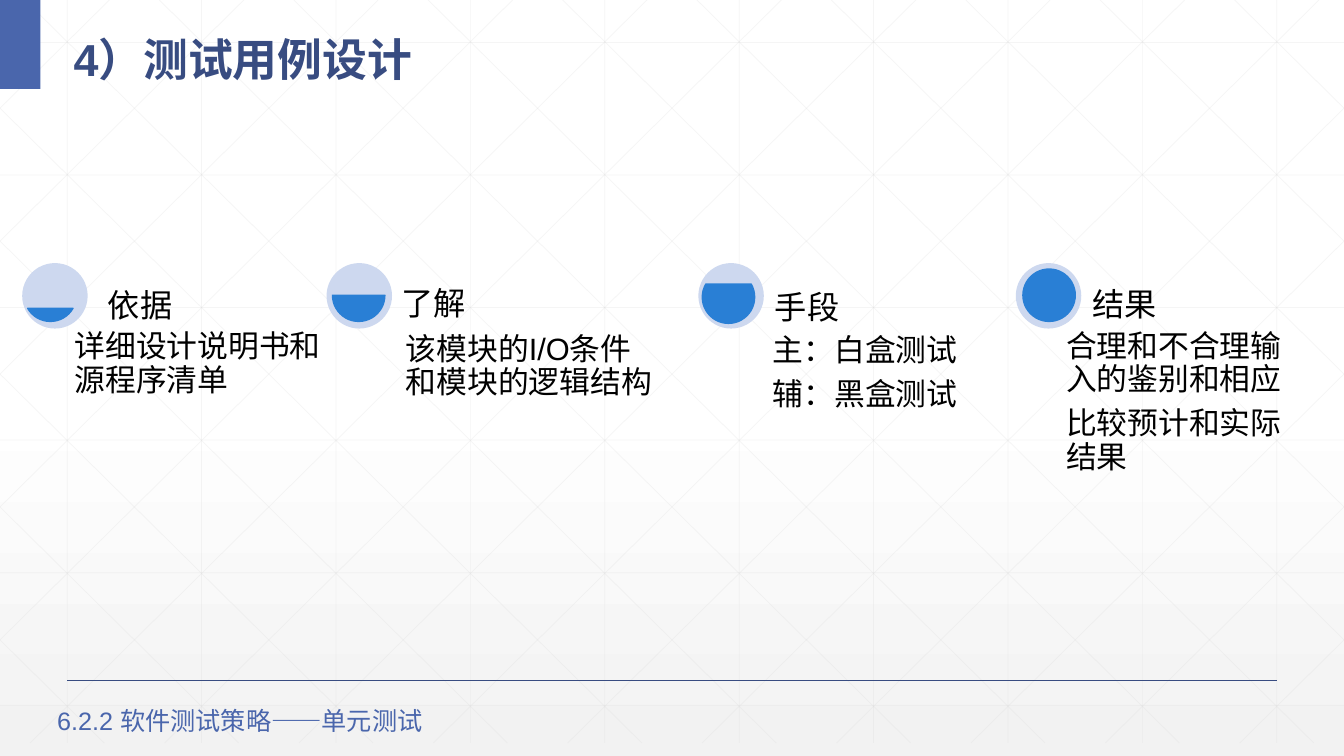
from lxml import etree
from pptx import Presentation
from pptx.dml.color import RGBColor
from pptx.enum.shapes import MSO_CONNECTOR, MSO_SHAPE
from pptx.enum.text import MSO_ANCHOR, PP_ALIGN
from pptx.oxml.ns import qn
from pptx.util import Cm, Pt

STRAIGHT = MSO_CONNECTOR.STRAIGHT
RECT, OVAL, CHORD = MSO_SHAPE.RECTANGLE, MSO_SHAPE.OVAL, MSO_SHAPE.CHORD
TOP, MIDDLE, BOTTOM = MSO_ANCHOR.TOP, MSO_ANCHOR.MIDDLE, MSO_ANCHOR.BOTTOM
LEFT = PP_ALIGN.LEFT

WHITE = RGBColor(0xFF, 0xFF, 0xFF)
SMOKE = RGBColor(0xF2, 0xF2, 0xF2)
GREY = RGBColor(0xD9, 0xD9, 0xD9)
NAVY = RGBColor(0x38, 0x4C, 0x81)
INDIGO = RGBColor(0x4A, 0x66, 0xAC)
PALE = RGBColor(0xCD, 0xD8, 0xEF)
BLUE = RGBColor(0x29, 0x7F, 0xD5)
BLACK = RGBColor(0, 0, 0)

FONT = "Arial"
WIDE, HIGH = 33.87, 19.05
FOOT = 18.72  # lower end of the grid
STEP = WIDE / 10

# disc left, level (left, top, chord angles), head (left, top, text),
# body (left, top, width, lines)
STAGES = [
    (0.56, (0.61, 6.78, 18, 90), (2.57, 6.68, "依据"),
     (1.73, 8.2, 6.63, ["详细设计说明书和源程序清单"])),
    (8.23, (8.38, 6.78, 0, 108), (9.96, 6.63, "了解"),
     (10.08, 8.26, 6.68, ["该模块的I/O条件和模块的逻辑结构"])),
    (17.6, (17.7, 6.83, 198, 126), (19.38, 6.73, "手段"),
     (19.33, 8.28, 5.89, ["主：白盒测试", "辅：黑盒测试"])),
    (25.6, (25.78, 6.78, 162, 162), (27.38, 6.65, "结果"),
     (26.72, 8.18, 6.45, ["合理和不合理输入的鉴别和相应", "比较预计和实际结果"])),
]


def write(frame, lines, size, color, bold=False, anchor=TOP,
          inset=None, spacing=None, after=None):
    frame.word_wrap = True
    frame.vertical_anchor = anchor
    if inset is not None:
        frame.margin_left = frame.margin_right = Cm(inset)
        frame.margin_top = frame.margin_bottom = Cm(inset)
    for i, line in enumerate(lines):
        para = frame.add_paragraph() if i else frame.paragraphs[0]
        para.alignment = LEFT
        para.line_spacing = spacing
        para.space_after = after
        run = para.add_run()
        run.text = line
        font = run.font
        font.name, font.size, font.bold = FONT, Pt(size), bold
        font.color.rgb = color


def label(slide, x, y, w, h, lines, **style):
    box = slide.shapes.add_textbox(Cm(x), Cm(y), Cm(w), Cm(h))
    write(box.text_frame, lines, **style)


def shape(slide, kind, x, y, w, h, fill, edge=False):
    item = slide.shapes.add_shape(kind, Cm(x), Cm(y), Cm(w), Cm(h))
    item.shadow.inherit = False
    item.fill.solid()
    item.fill.fore_color.rgb = fill
    if edge:
        item.line.color.rgb = fill
        item.line.width = Pt(1)
    else:
        item.line.fill.background()
    return item


def rule(slide, x1, y1, x2, y2, color, width, alpha=None):
    """Draw a straight line; alpha is its opacity in percent."""
    line = slide.shapes.add_connector(STRAIGHT, Cm(x1), Cm(y1), Cm(x2), Cm(y2))
    line.line.color.rgb = color
    line.line.width = Pt(width)
    props = line._element.spPr
    etree.SubElement(props, qn("a:effectLst"))
    if alpha:
        tint = props.find(".//" + qn("a:srgbClr"))
        etree.SubElement(tint, qn("a:alpha"), val=str(alpha * 1000))


def grid(slide):
    spans = [(STEP * (i + 0.5), 0, STEP * (i + 0.5), FOOT) for i in range(10)]
    spans += [(0, 1.07 + 3.34 * i, WIDE, 1.07 + 3.34 * i) for i in range(6)]
    reach = 18.93  # sideways run of a full diagonal
    slope = FOOT / reach
    for i in range(-5, 10):
        start = 0.63 + STEP * i
        x1, x2 = max(start, 0), min(start + reach, WIDE)
        y1, y2 = (x1 - start) * slope, (x2 - start) * slope
        spans += [(x1, y1, x2, y2), (WIDE - x1, y1, WIDE - x2, y2)]
    for span in spans:
        rule(slide, *span, GREY, 0.5, alpha=25)


def backdrop(slide):
    fill = slide.background.fill
    fill.gradient()
    fill.gradient_angle = 270
    for stop, place, color in zip(fill.gradient_stops, (0.53, 1), (WHITE, SMOKE)):
        stop.position = place
        stop.color.rgb = color


def heading(slide, text):
    title = slide.shapes.title
    title.left, title.top = Cm(1.6), Cm(0.36)
    title.width, title.height = Cm(30.6), Cm(1.85)
    write(title.text_frame, [text], size=32, color=NAVY, bold=True,
          anchor=MIDDLE, spacing=1.3)
    slide.shapes._spTree.append(title._element)  # in front of the grid


def stage(slide, left, level, head, body):
    shape(slide, OVAL, left, 6.63, 1.65, 1.65, PALE)
    x, y, start, end = level
    chord = shape(slide, CHORD, x, y, 1.32, 1.32, BLUE, edge=True)
    chord.adjustments[0], chord.adjustments[1] = start, end
    style = dict(color=BLACK, inset=0.15, spacing=0.9, after=Pt(8))
    x, y, w, lines = body
    label(slide, x, y, w, 6.99, lines, size=22, **style)
    x, y, text = head
    label(slide, x, y, 4.93, 1.65, [text], size=23, anchor=BOTTOM, **style)


def main():
    deck = Presentation()
    deck.slide_width, deck.slide_height = Cm(WIDE), Cm(HIGH)
    slide = deck.slides.add_slide(deck.slide_layouts[5])
    backdrop(slide)
    grid(slide)
    rule(slide, 1.69, 17.15, 32.17, 17.15, NAVY, 1)
    shape(slide, RECT, 0, 0, 1.02, 2.24, INDIGO)
    heading(slide, "4）测试用例设计")
    for parts in STAGES:
        stage(slide, *parts)
    label(slide, 1.19, 17.65, 11.73, 1.02, ["6.2.2 软件测试策略——单元测试"],
          size=18, color=INDIGO)
    deck.save("out.pptx")


if __name__ == "__main__":
    main()
